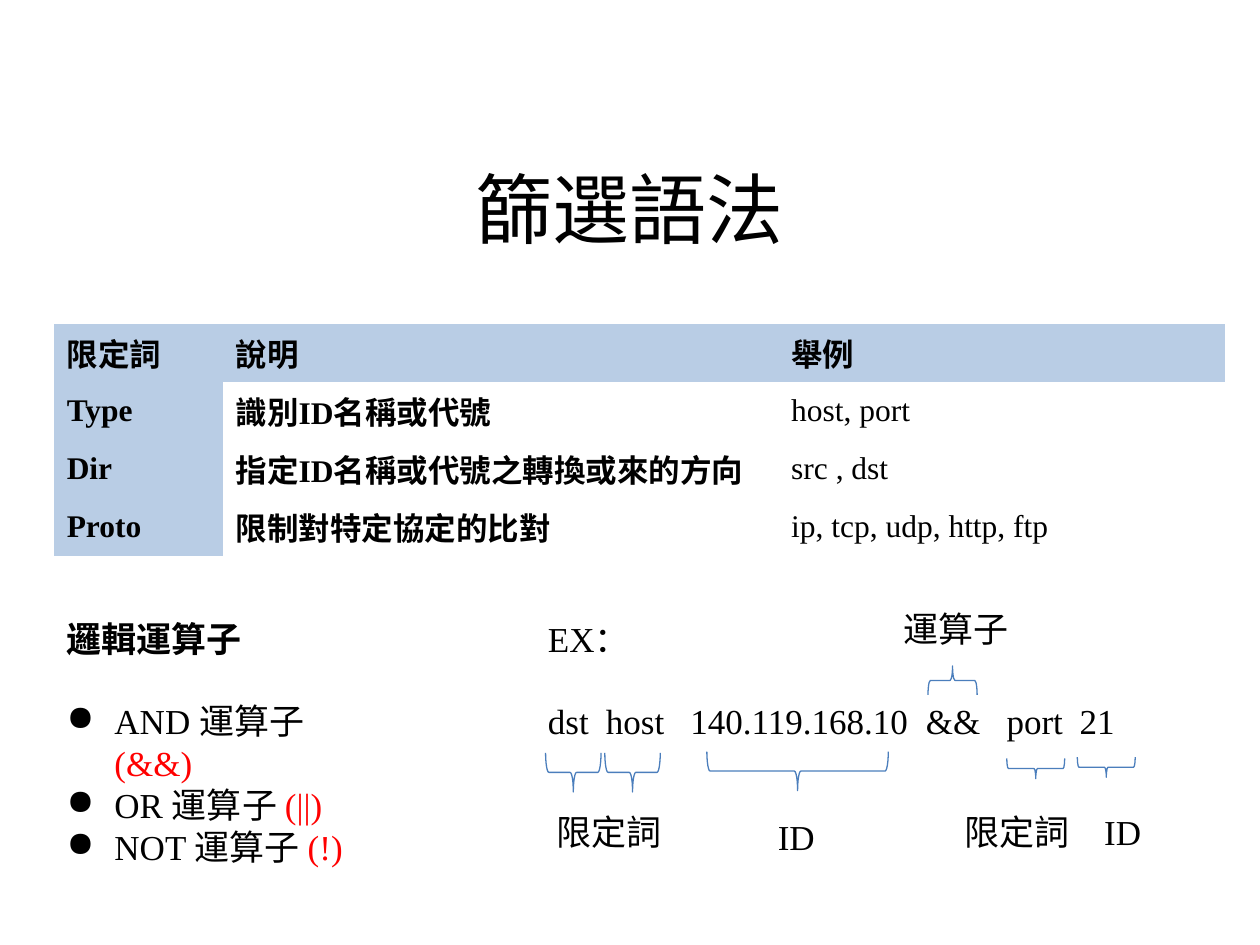
from lxml import etree
from pptx import Presentation
from pptx.dml.color import RGBColor
from pptx.enum.shapes import MSO_SHAPE
from pptx.enum.text import MSO_ANCHOR, PP_ALIGN
from pptx.oxml.ns import qn
from pptx.util import Inches, Pt

RIGHT_BRACE = MSO_SHAPE.RIGHT_BRACE
MIDDLE, TOP = MSO_ANCHOR.MIDDLE, MSO_ANCHOR.TOP
LEFT, CENTER = PP_ALIGN.LEFT, PP_ALIGN.CENTER

THEME = {
    "font": "Times New Roman",
    "title": Pt(44), "table": Pt(18), "body": Pt(20), "section_gap": Pt(23),
    "text": RGBColor(0, 0, 0), "accent": RGBColor(0xFF, 0, 0),
    "header": RGBColor(0xB9, 0xCD, 0xE5), "brace": RGBColor(0x4B, 0x7E, 0xBC),
    "brace_width": Pt(0.75),
}
NO_GRID_STYLE = "{2D5ABB26-0587-4C30-8999-92F81FD0307C}"

# Content; boxes are left, top, width, height in inches
TITLE = ("篩選語法", (0.5, 1.02, 9, 1.25))
QUALIFIERS = [
    ("限定詞", "說明", "舉例"),
    ("Type", "識別ID名稱或代號", "host, port"),
    ("Dir", "指定ID名稱或代號之轉換或來的方向", "src , dst"),
    ("Proto", "限制對特定協定的比對", "ip, tcp, udp, http, ftp"),
]
COLUMN_WIDTHS = (1.34, 4.41, 3.54)
ROW_HEIGHT = 0.46
TABLE_LEFT, TABLE_TOP = 0.43, 2.57

OPERATORS_HEADING = "邏輯運算子"
OPERATORS = [("AND 運算子", "(&&)", True), ("OR 運算子 ", "(||)", False),
             ("NOT 運算子 ", "(!)", False)]  # name, symbol, symbol on its own line
OPERATORS_BOX = (0.43, 4.85, 2.91, 1.78)
BULLET_INDENT = 0.38

EXAMPLE_HEADING = "EX："
EXAMPLE_TERMS = ["dst", "host", "140.119.168.10", "&&", "port", "21"]
EXAMPLE_TABS = (0.46, 1.13, 3.0, 3.64, 4.22)
EXAMPLE_BOX = (4.25, 4.85, 4.88, 1.11)

LABELS = [
    ("限定詞", (4.32, 6.38, 1.15, 0.44), LEFT),
    ("ID", (5.83, 6.42, 0.98, 0.44), CENTER),
    ("限定詞", (7.56, 6.38, 1.06, 0.44), LEFT),
    ("ID", (8.55, 6.38, 0.72, 0.44), CENTER),
    ("運算子", (7.07, 4.77, 1.15, 0.44), LEFT),
]
# Center x, center y, depth, span, rotation (90 points down, 270 up)
BRACES = [
    (4.55, 6.13, 0.31, 0.44, 90), (5.02, 6.13, 0.31, 0.44, 90),
    (6.33, 6.12, 0.31, 1.44, 90), (8.22, 6.1, 0.16, 0.46, 90),
    (8.78, 6.09, 0.16, 0.46, 90), (7.56, 5.4, 0.23, 0.39, 270),
]


def add_run(paragraph, text, **changes):
    run = paragraph.add_run()
    run.text = text
    values = {"name": THEME["font"], "size": THEME["body"], "bold": False}
    color = changes.pop("color", THEME["text"])
    for name, value in {**values, **changes}.items():
        setattr(run.font, name, value)
    run.font.color.rgb = color


def add_text_box(slide, box, anchor=TOP):
    frame = slide.shapes.add_textbox(*map(Inches, box)).text_frame
    frame.word_wrap = True
    frame.vertical_anchor = anchor
    return frame


def add_bullet(paragraph):
    properties = paragraph._p.get_or_add_pPr()
    properties.set("marL", str(Inches(BULLET_INDENT)))
    properties.set("indent", str(-Inches(BULLET_INDENT)))
    etree.SubElement(properties, qn("a:buChar")).set("char", "●")


def add_tab_stops(paragraph, positions):
    stops = etree.SubElement(paragraph._p.get_or_add_pPr(), qn("a:tabLst"))
    for position in positions:
        stop = etree.SubElement(stops, qn("a:tab"))
        stop.set("pos", str(Inches(position)))
        stop.set("algn", "l")


def add_qualifier_table(slide):
    frame = slide.shapes.add_table(
        len(QUALIFIERS), len(COLUMN_WIDTHS), Inches(TABLE_LEFT), Inches(TABLE_TOP),
        Inches(sum(COLUMN_WIDTHS)), Inches(ROW_HEIGHT * len(QUALIFIERS)))
    table = frame.table
    table._tbl.tblPr.find(qn("a:tableStyleId")).text = NO_GRID_STYLE
    table.first_row = table.horz_banding = False
    for column, width in zip(table.columns, COLUMN_WIDTHS):
        column.width = Inches(width)
    for row_index, texts in enumerate(QUALIFIERS):
        table.rows[row_index].height = Inches(ROW_HEIGHT)
        for column_index, text in enumerate(texts):
            cell = table.cell(row_index, column_index)
            cell.vertical_anchor = MIDDLE
            if row_index == 0 or column_index == 0:
                cell.fill.solid()
                cell.fill.fore_color.rgb = THEME["header"]
            else:
                cell.fill.background()
            add_run(cell.text_frame.paragraphs[0], text, size=THEME["table"],
                    bold=row_index == 0 or column_index < 2)


def add_operators(slide):
    frame = add_text_box(slide, OPERATORS_BOX)
    add_run(frame.paragraphs[0], OPERATORS_HEADING, bold=True)
    for index, (name, symbol, own_line) in enumerate(OPERATORS):
        paragraph = frame.add_paragraph()
        add_bullet(paragraph)
        if index == 0:
            paragraph.space_before = THEME["section_gap"]
        add_run(paragraph, name)
        if own_line:
            paragraph.add_line_break()
        add_run(paragraph, symbol, color=THEME["accent"])


def add_example(slide):
    frame = add_text_box(slide, EXAMPLE_BOX)
    add_run(frame.paragraphs[0], EXAMPLE_HEADING)
    paragraph = frame.add_paragraph()
    add_tab_stops(paragraph, EXAMPLE_TABS)
    paragraph.space_before = THEME["section_gap"]
    add_run(paragraph, "\t".join(EXAMPLE_TERMS))


def add_brace(slide, center_x, center_y, depth, span, rotation):
    shape = slide.shapes.add_shape(
        RIGHT_BRACE, Inches(center_x - depth / 2), Inches(center_y - span / 2),
        Inches(depth), Inches(span))
    shape.rotation = rotation
    shape.shadow.inherit = False
    shape.fill.background()
    shape.line.color.rgb = THEME["brace"]
    shape.line.width = THEME["brace_width"]


def main():
    presentation = Presentation()
    presentation.slide_width, presentation.slide_height = Inches(10), Inches(7.5)
    slide = presentation.slides.add_slide(presentation.slide_layouts[6])

    # Title
    text, box = TITLE
    paragraph = add_text_box(slide, box, MIDDLE).paragraphs[0]
    paragraph.alignment = CENTER
    add_run(paragraph, text, size=THEME["title"])

    # Table, operator list and example
    add_qualifier_table(slide)
    add_operators(slide)
    add_example(slide)

    # Braces and labels around the example
    for brace in BRACES:
        add_brace(slide, *brace)
    for text, box, alignment in LABELS:
        paragraph = add_text_box(slide, box).paragraphs[0]
        paragraph.alignment = alignment
        add_run(paragraph, text)

    presentation.save("out.pptx")


if __name__ == "__main__":
    main()
